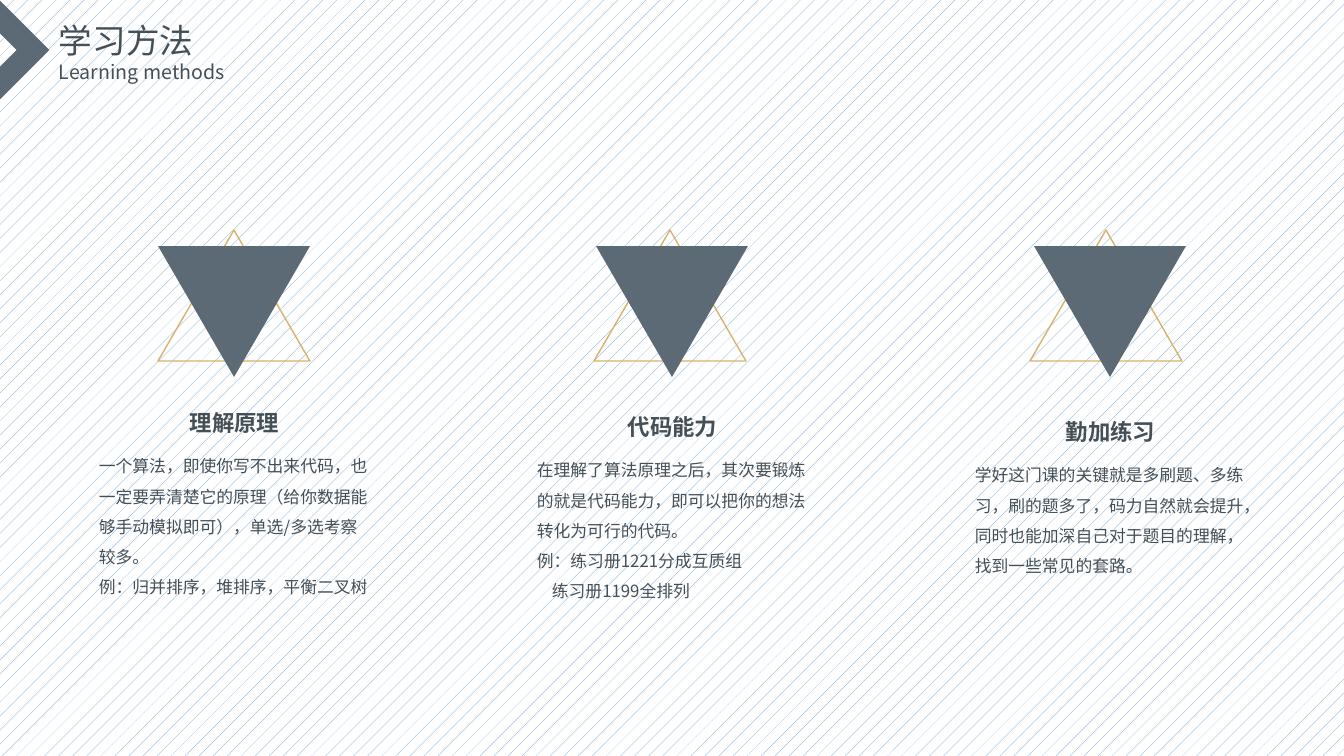
"""Build the study methods slide: three triangle columns under a title."""
from pptx import Presentation
from pptx.dml.color import RGBColor
from pptx.enum.dml import MSO_PATTERN
from pptx.enum.shapes import MSO_SHAPE
from pptx.enum.text import MSO_AUTO_SIZE, PP_ALIGN
from pptx.oxml.ns import qn
from pptx.util import Pt

TITLE = "学习方法"
SUB = "Learning methods"
COLS = [
    ("理解原理", [
        "一个算法，即使你写不出来代码，也一定要弄清楚它的原理（给你数据能够手动模拟即可），单选/多选考察较多。",
        "例：归并排序，堆排序，平衡二叉树"], 162),
    ("代码能力", [
        "在理解了算法原理之后，其次要锻炼的就是代码能力，即可以把你的想法转化为可行的代码。",
        "例：练习册1221分成互质组",
        ("练习册1199全排列", 15)], 162),
    ("勤加练习", [
        "学好这门课的关键就是多刷题、多练习，刷的题多了，码力自然就会提升，同时也能加深自己对于题目的理解，找到一些常见的套路。"], 132),
]
COLORS = {"slate": "5B6A74", "gold": "D7B26C", "text": "444F56",
          "blue": "5B9BD5", "white": "FFFFFF"}
FONT = "Noto Sans CJK SC"
TRI, FRAME = MSO_SHAPE.ISOSCELES_TRIANGLE, MSO_SHAPE.HALF_FRAME
GROW, LEFT, CENTER = MSO_AUTO_SIZE.SHAPE_TO_FIT_TEXT, PP_ALIGN.LEFT, PP_ALIGN.CENTER
DOTS = MSO_PATTERN.PERCENT_5
WIDE, HIGH = 1344, 756
SCALE = 914400 / 100.8
STEP, BACK = 438, 436
TRI_W, TRI_H = 152, 131


def px(n):
    return round(n * SCALE)


def rgb(name):
    return RGBColor.from_string(COLORS[name])


def add_text(slide, lines, box, size, bold=False, align=LEFT, space=1.0):
    frame = slide.shapes.add_textbox(*map(px, box)).text_frame
    frame.word_wrap = True
    frame.auto_size = GROW
    for i, line in enumerate(lines):
        text, dent = line if isinstance(line, tuple) else (line, 0)
        para = frame.add_paragraph() if i else frame.paragraphs[0]
        para.alignment = align
        para.line_spacing = space
        if dent:
            para._p.get_or_add_pPr().set("marL", str(px(dent)))
        run = para.add_run()
        run.text = text
        font = run.font
        font.name, font.size, font.bold = FONT, Pt(size), bold
        font.color.rgb = rgb("text")
        east = run._r.get_or_add_rPr().makeelement(qn("a:ea"), {"typeface": FONT})
        run._r.rPr.find(qn("a:latin")).addnext(east)


def add_form(slide, kind, box, fill=None, line=None, turn=0):
    form = slide.shapes.add_shape(kind, *map(px, box))
    form.shadow.inherit = False
    form.rotation = turn
    if fill:
        form.fill.solid()
        form.fill.fore_color.rgb = rgb(fill)
    else:
        form.fill.background()
    if line:
        form.line.color.rgb = rgb(line)
        form.line.width = Pt(1)
    else:
        form.line.fill.background()


def main():
    deck = Presentation()
    deck.slide_width, deck.slide_height = px(WIDE), px(HIGH)
    slide = deck.slides.add_slide(deck.slide_layouts[6])
    fill = slide.background.fill
    fill.patterned()
    fill.pattern = DOTS
    fill.fore_color.rgb, fill.back_color.rgb = rgb("blue"), rgb("white")

    add_form(slide, FRAME, (-35, 15, 70, 70), fill="slate", turn=135)
    add_text(slide, [TITLE], (49, 15, 275, 50), 24)
    add_text(slide, [SUB], (49, 55, 533, 34), 14)

    for i, (head, body, tall) in enumerate(COLS):
        left, top = i * STEP, 404 + i * 9 // 2
        add_form(slide, TRI, (158 + i * BACK, 230, TRI_W, TRI_H), line="gold")
        add_form(slide, TRI, (158 + left, 246, TRI_W, TRI_H), fill="slate", turn=180)
        add_text(slide, [head], (128 + left, top, 213, 37), 16, bold=True, align=CENTER)
        add_text(slide, body, (89 + left, top + 37, 289, tall), 12, space=1.5)
    deck.save("out.pptx")


if __name__ == "__main__":
    main()
